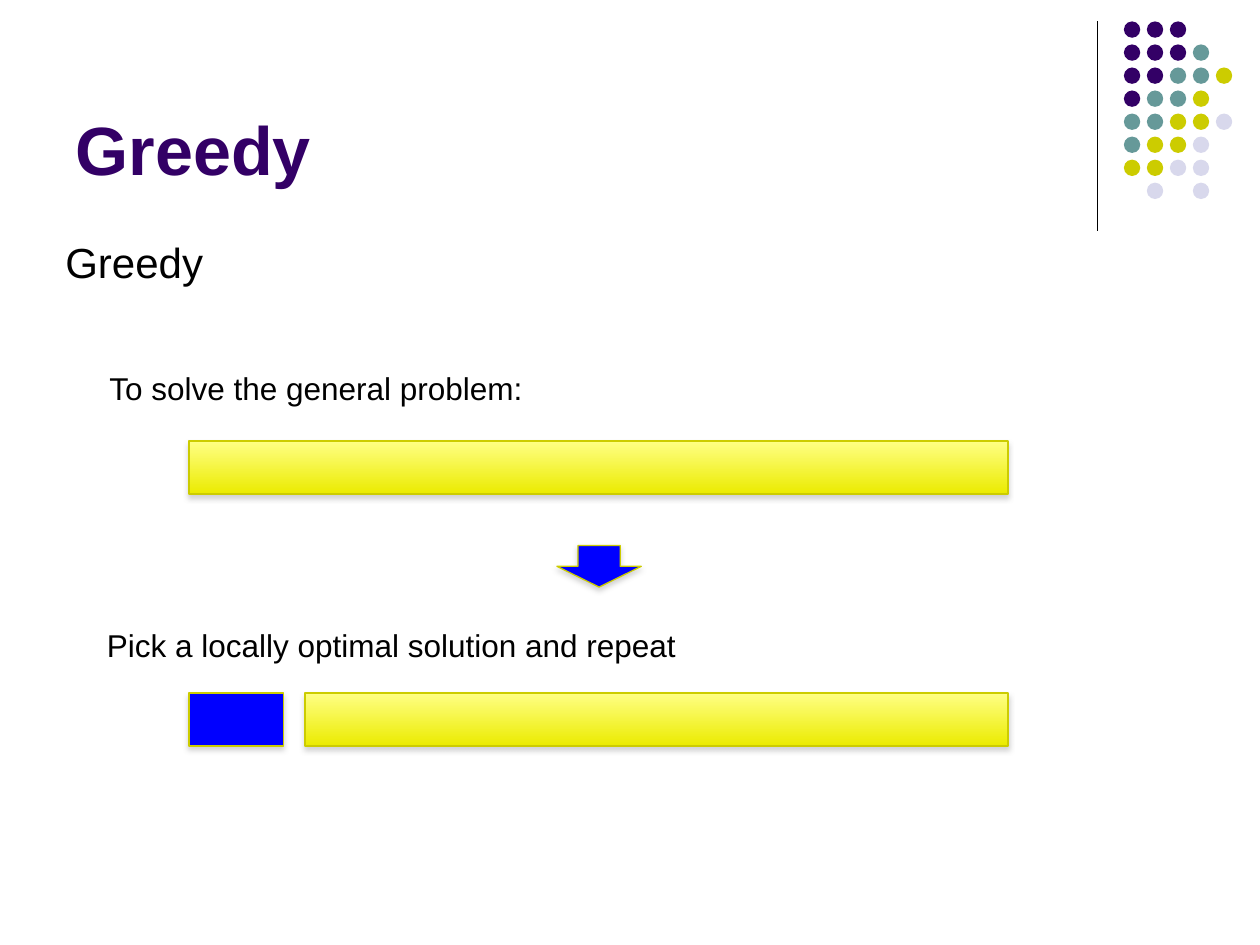
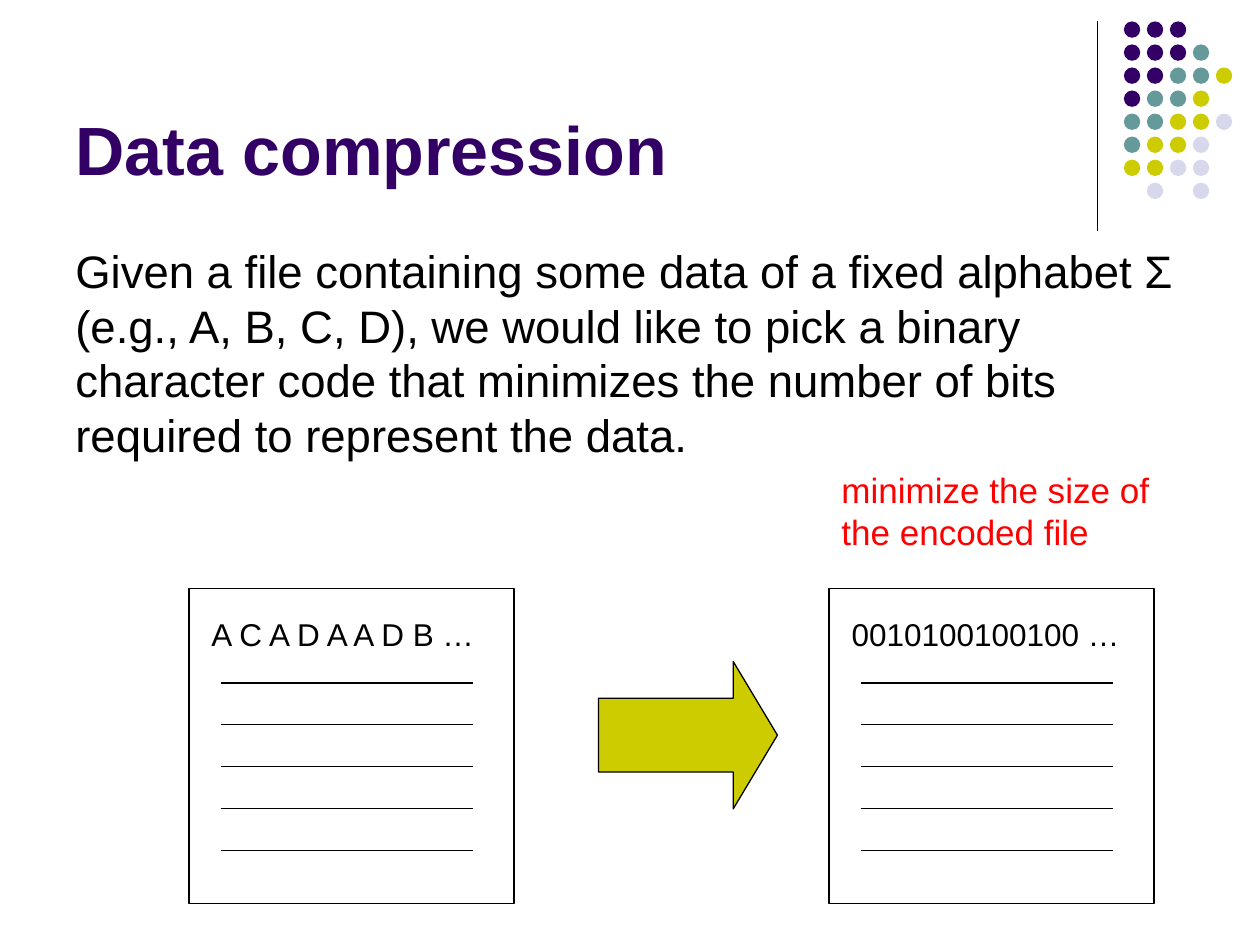
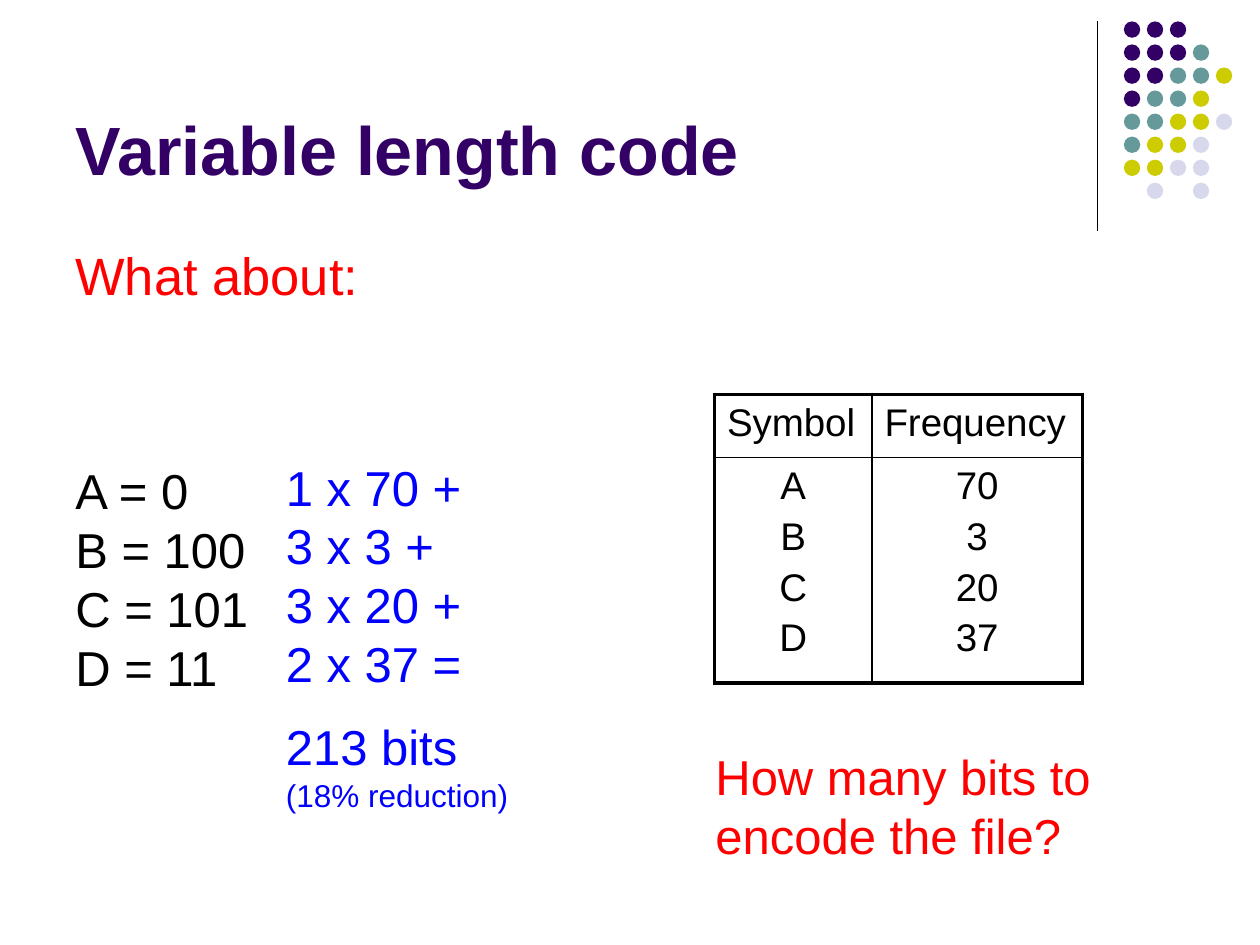
from dataclasses import dataclass

from lxml.etree import SubElement
from pptx import Presentation
from pptx.dml.color import RGBColor
from pptx.enum.shapes import MSO_CONNECTOR, MSO_SHAPE
from pptx.enum.text import MSO_ANCHOR, PP_ALIGN
from pptx.oxml.ns import qn
from pptx.shapes.connector import Connector
from pptx.util import Inches, Pt


@dataclass(frozen=True)
class Theme:
    font: str = "Arial"
    purple: str = "330066"
    teal: str = "669999"
    olive: str = "CCCC00"
    lavender: str = "D8D8EC"
    pale_yellow: str = "FFFF85"
    yellow: str = "EBEB00"
    blue: str = "0000FF"
    red: str = "FF0000"
    black: str = "000000"
    shadow: str = "808080"
    title: int = 39
    question: int = 30
    large: int = 28
    body: int = 26
    heading: int = 24
    table: int = 22
    note: int = 20
    small: int = 18
    hairline: float = 0.75
    inner_border: float = 1
    outer_border: float = 2.25
    leading: float = 1.2
    table_leading: float = 1.15


theme = Theme()


def write(frame, text, size=theme.small, color=theme.black, bold=False,
          align=PP_ALIGN.LEFT, leading=theme.leading, before=0, wrap=True,
          anchor=MSO_ANCHOR.TOP, more=False):
    """Write one paragraph, or add it after the others when more is set."""
    frame.word_wrap = wrap
    frame.vertical_anchor = anchor
    para = frame.add_paragraph() if more else frame.paragraphs[0]
    para.text = text.replace("\n", "\v")
    para.alignment = align
    para.space_before = Pt(before)
    para.line_spacing = Pt(size * leading)
    for span in para.runs:
        span.font.name = theme.font
        span.font.size = Pt(size)
        span.font.bold = bold
        span.font.color.rgb = RGBColor.from_string(color)


def paint(shape, fill=None, line=None):
    """Set fill and line of a shape or connector, without its shadow."""
    if line:
        shape.line.color.rgb = RGBColor.from_string(line)
        shape.line.width = Pt(theme.hairline)
    else:
        shape.line.fill.background()
    if isinstance(shape, Connector):
        SubElement(shape.element.spPr, qn("a:effectLst"))
        return
    shape.shadow.inherit = False
    if fill:
        shape.fill.solid()
        shape.fill.fore_color.rgb = RGBColor.from_string(fill)
    else:
        shape.fill.background()


deck = Presentation()
deck.slide_width, deck.slide_height = Inches(10), Inches(7.5)
layout = deck.slide_layouts[5]

slides = []
for title in ("Greedy", "Data compression", "Variable length code"):
    slide = deck.slides.add_slide(layout)
    holder = slide.shapes.title
    holder.left, holder.top = Inches(0.5), Inches(0.13)
    holder.width, holder.height = Inches(8.25), Inches(1.42)
    write(holder.text_frame, title, size=theme.title, color=theme.purple,
          bold=True, leading=theme.table_leading, anchor=MSO_ANCHOR.BOTTOM)
    slides.append(slide)
greedy, compression, variable = slides

# Corner dots and divider, moved to the layout so that all slides share them
divider = greedy.shapes.add_connector(
    MSO_CONNECTOR.STRAIGHT, Inches(8.71), Inches(0.17), Inches(8.71), Inches(1.83))
paint(divider, line=theme.black)
dots = greedy.shapes.add_group_shape()
dot_colors = {"P": theme.purple, "T": theme.teal, "Y": theme.olive, "L": theme.lavender}
dot_rows = ("PPP", "PPPT", "PPTTY", "PTTY", "TTYYL", "TYYL", "YYLL", "-L-L")
for row, letters in enumerate(dot_rows):
    for column, letter in enumerate(letters):
        if letter in dot_colors:
            dot = dots.shapes.add_shape(
                MSO_SHAPE.OVAL, Inches(8.92 + column * 0.73 / 4),
                Inches(0.17 + row * 1.28 / 7), Inches(0.13), Inches(0.13))
            paint(dot, fill=dot_colors[letter])
for decoration in (divider, dots):
    layout.shapes.element.append(decoration.element)

# Slide 1: greedy
for text, size, left, top, width, height in (
    ("Greedy", theme.heading, 0.42, 1.83, 1.31, 0.51),
    ("To solve the general problem:", theme.small, 0.77, 2.88, 3.51, 0.4),
    ("Pick a locally optimal solution and repeat", theme.small, 0.75, 4.92, 4.76, 0.4),
):
    box = greedy.shapes.add_textbox(Inches(left), Inches(top), Inches(width), Inches(height))
    write(box.text_frame, text, size=size, wrap=False)

for kind, is_remaining, left, top, width, height in (
    (MSO_SHAPE.RECTANGLE, True, 1.5, 3.5, 6.5, 0.42),
    (MSO_SHAPE.RECTANGLE, False, 1.5, 5.5, 0.75, 0.42),
    (MSO_SHAPE.RECTANGLE, True, 2.42, 5.5, 5.58, 0.42),
    (MSO_SHAPE.DOWN_ARROW, False, 4.42, 4.33, 0.67, 0.33),
):
    block = greedy.shapes.add_shape(
        kind, Inches(left), Inches(top), Inches(width), Inches(height))
    paint(block, fill=theme.blue, line=theme.olive)
    if is_remaining:
        block.fill.gradient()
        block.fill.gradient_angle = 270
        for stop, color in zip(block.fill.gradient_stops, (theme.pale_yellow, theme.yellow)):
            stop.color.rgb = RGBColor.from_string(color)
    shadow = SubElement(
        block.element.spPr.find(qn("a:effectLst")), qn("a:outerShdw"),
        blurRad=str(Pt(3.1)), dist=str(Pt(1.8)), dir="5400000", rotWithShape="0")
    shadow_color = SubElement(shadow, qn("a:srgbClr"), val=theme.shadow)
    SubElement(shadow_color, qn("a:alpha"), val="35000")

# Slide 2: data compression
box = compression.shapes.add_textbox(Inches(0.5), Inches(1.88), Inches(9), Inches(1.95))
write(box.text_frame,
      "Given a file containing some data of a fixed alphabet Σ (e.g., A, B, C, D), "
      "we would like to pick a binary character code that minimizes the number of "
      "bits required to represent the data.", size=theme.body)

for left, content in ((1.5, "A C A D A A D B …"), (6.58, "0010100100100 …")):
    document = compression.shapes.add_group_shape().shapes
    box = document.add_textbox(Inches(left + 0.08), Inches(4.83), Inches(2.92), Inches(0.4))
    write(box.text_frame, content)
    sheet = document.add_shape(
        MSO_SHAPE.RECTANGLE, Inches(left), Inches(4.67), Inches(2.58), Inches(2.5))
    paint(sheet, line=theme.black)
    for index in range(5):
        top = Inches(5.42 + index * 1.33 / 4)
        text_line = document.add_connector(
            MSO_CONNECTOR.STRAIGHT, Inches(left + 0.25), top, Inches(left + 2.25), top)
        paint(text_line, line=theme.black)

arrow = compression.shapes.add_shape(
    MSO_SHAPE.RIGHT_ARROW, Inches(4.75), Inches(5.25), Inches(1.42), Inches(1.17))
arrow.adjustments[1] = 0.3
paint(arrow, fill=theme.olive, line=theme.black)

box = compression.shapes.add_textbox(Inches(6.58), Inches(3.67), Inches(2.67), Inches(0.77))
write(box.text_frame, "minimize the size of the encoded file",
      size=theme.note, color=theme.red)

# Slide 3: variable length code
for text, size, color, left, top, width, height in (
    ("What about:", theme.question, theme.red, 0.5, 1.88, 9, 0.7),
    ("A = 0\nB = 100\nC = 101\nD = 11", theme.large, theme.black, 0.5, 3.61, 2.08, 1.97),
    ("How many bits to encode the file?", theme.large, theme.red, 5.58, 5.88, 3.33, 1.03),
):
    box = variable.shapes.add_textbox(Inches(left), Inches(top), Inches(width), Inches(height))
    write(box.text_frame, text, size=size, color=color)

total = variable.shapes.add_textbox(
    Inches(2.17), Inches(3.58), Inches(2.08), Inches(2.97)).text_frame
write(total, "1 x 70 +\n3 x 3 +\n3 x 20 +\n2 x 37 =", size=theme.large, color=theme.blue)
write(total, "213 bits", size=theme.large, color=theme.blue, before=14, more=True)
write(total, "(18% reduction)", color=theme.blue, more=True)

table = variable.shapes.add_table(
    2, 2, Inches(5.67), Inches(3.13), Inches(2.92), Inches(2.29)).table
table.first_row = table.horz_banding = False
for column, width in zip(table.columns, (1.25, 1.67)):
    column.width = Inches(width)
for row, height in zip(table.rows, (0.5, 1.79)):
    row.height = Inches(height)

frequencies = (("Symbol", "Frequency"), ("A", "70"), ("B", "3"), ("C", "20"), ("D", "37"))
for row in range(2):
    for column in range(2):
        cell = table.cell(row, column)
        entries = frequencies[1:] if row else frequencies[:1]
        for index, entry in enumerate(entries):
            write(cell.text_frame, entry[column], size=theme.table,
                  align=PP_ALIGN.CENTER if row else PP_ALIGN.LEFT,
                  leading=theme.table_leading, before=3.7 if index else 0, more=index > 0)
        properties = cell._tc.get_or_add_tcPr()
        sides = {"a:lnL": column == 0, "a:lnR": column == 1,
                 "a:lnT": row == 0, "a:lnB": row == 1}
        for side, is_outer in sides.items():
            weight = theme.outer_border if is_outer else theme.inner_border
            border = SubElement(properties, qn(side), w=str(Pt(weight)))
            border_fill = SubElement(border, qn("a:solidFill"))
            SubElement(border_fill, qn("a:srgbClr"), val=theme.black)
        cell.fill.background()

deck.save("out.pptx")
